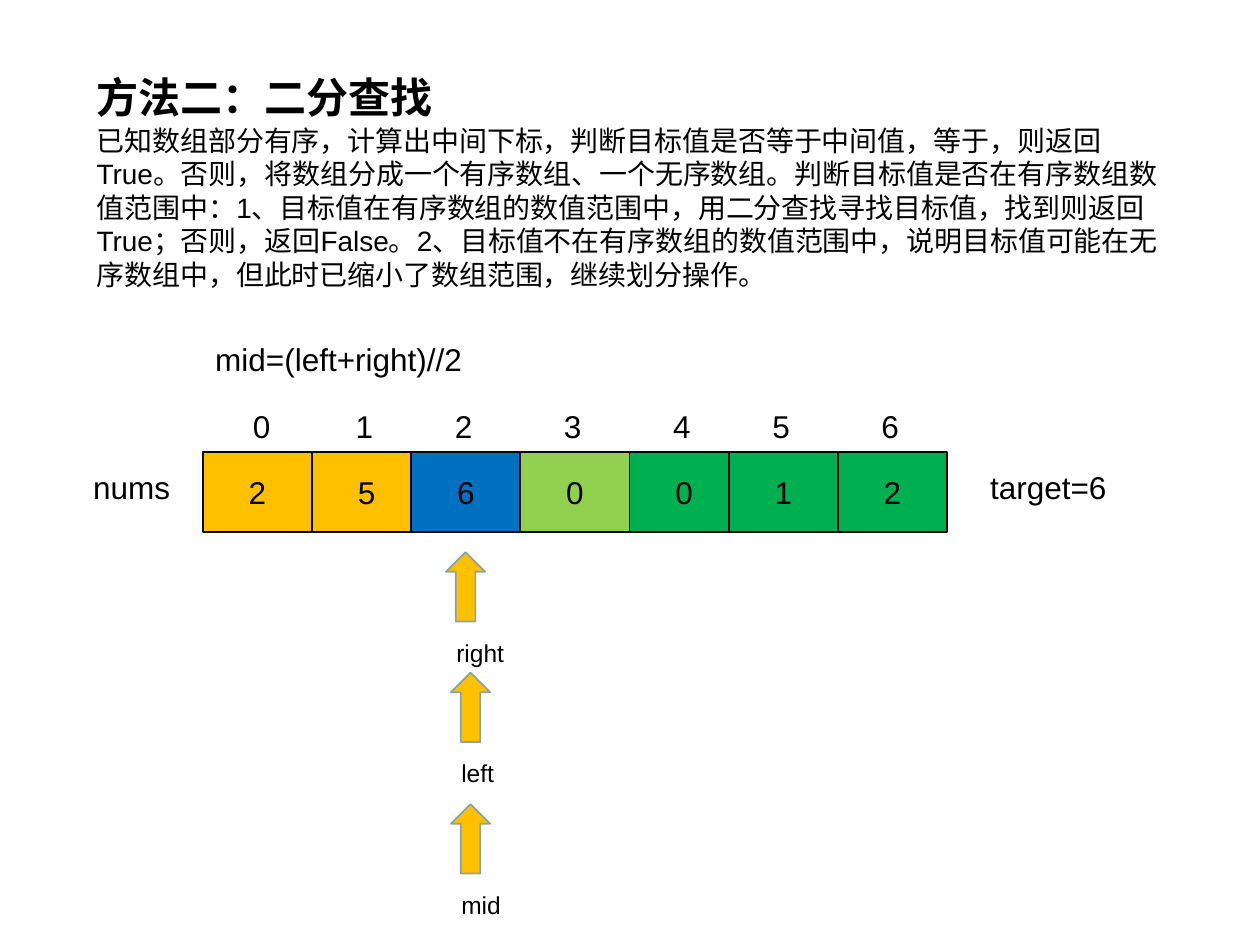
from lxml.etree import SubElement
from pptx import Presentation
from pptx.dml.color import RGBColor
from pptx.enum.shapes import MSO_SHAPE
from pptx.enum.text import MSO_ANCHOR, MSO_AUTO_SIZE, PP_ALIGN
from pptx.oxml.ns import qn
from pptx.util import Cm, Pt

COLORS = {
    "text": "000000",
    "edge": "060708",
    "arrow_edge": "89A4A7",
    "amber": "FFC000",
    "blue": "0070C0",
    "lime": "92D050",
    "green": "00B050",
}
HEADING = "方法二：二分查找"
BODY = (
    "已知数组部分有序，计算出中间下标，判断目标值是否等于中间值，等于，则返回True。"
    "否则，将数组分成一个有序数组、一个无序数组。判断目标值是否在有序数组数值范围中："
    "1、目标值在有序数组的数值范围中，用二分查找寻找目标值，找到则返回True；否则，返回False。"
    "2、目标值不在有序数组的数值范围中，说明目标值可能在无序数组中，"
    "但此时已缩小了数组范围，继续划分操作。"
)
CELLS = [
    ("2", "amber"),
    ("5", "amber"),
    ("6", "blue"),
    ("0", "lime"),
    ("0", "green"),
    ("1", "green"),
    ("2", "green"),
]
LABELS = [
    ("target=6", 19.71, 9.32, 3.12, 1.02),
    ("nums", 1.63, 9.32, 2.29, 1.02),
    ("mid=(left+right)//2", 4.09, 6.73, 8.46, 1.02),
]
POINTERS = [("right", 8.99, 11.13), ("left", 9.09, 13.56), ("mid", 9.09, 16.21)]


def rgb(name):
    return RGBColor.from_string(COLORS[name])


def write(sp, text, size, bold=False, align=PP_ALIGN.LEFT, anchor=MSO_ANCHOR.TOP):
    tf = sp.text_frame
    frame_format = {
        "word_wrap": True,
        "auto_size": MSO_AUTO_SIZE.NONE,
        "vertical_anchor": anchor,
    }
    for key, value in frame_format.items():
        setattr(tf, key, value)
    p = tf.paragraphs[0]
    p.alignment = align
    r = p.add_run()
    r.text = text
    for key, value in {"name": "Arial", "size": Pt(size), "bold": bold}.items():
        setattr(r.font, key, value)
    r.font.color.rgb = rgb("text")
    return p


def add_title(s, text, left, top, width, height):
    sp = s.shapes.title
    box = {"left": left, "top": top, "width": width, "height": height}
    for key, value in box.items():
        setattr(sp, key, Cm(value))
    write(sp, text, 24, bold=True)


def add_text(s, text, left, top, width, height, size=18):
    sp = s.shapes.add_textbox(Cm(left), Cm(top), Cm(width), Cm(height))
    return write(sp, text, size)


def add_filled(s, kind, left, top, width, height, fill, edge):
    sp = s.shapes.add_shape(kind, Cm(left), Cm(top), Cm(width), Cm(height))
    sp.shadow.inherit = False
    sp.fill.solid()
    sp.fill.fore_color.rgb = rgb(fill)
    sp.line.color.rgb = rgb(edge)
    sp.line.width = Pt(1)
    return sp


def cell_offset(i):
    return 2.2 * i - 0.2 * ((i + 1) // 3)


def add_array(s, left, top):
    for i, (value, fill) in enumerate(CELLS):
        sp = add_filled(s, MSO_SHAPE.RECTANGLE, left + cell_offset(i), top,
                        2.2, 1.6, fill, "edge")
        write(sp, value, 18, align=PP_ALIGN.CENTER, anchor=MSO_ANCHOR.MIDDLE)


def add_indices(s, left, top):
    count = len(CELLS)
    p = add_text(s, "\t".join(str(i) for i in range(count)), left, top, 14.22, 1.78)
    tabs = SubElement(p._p.get_or_add_pPr(), qn("a:tabLst"))
    for i in range(1, count):
        SubElement(tabs, qn("a:tab"), pos=str(Cm(cell_offset(i) - 0.13)), algn="l")


def add_pointer(s, name, left, top):
    sp = add_filled(s, MSO_SHAPE.DOWN_ARROW, left, top, 0.79, 1.4,
                    "amber", "arrow_edge")
    sp.rotation = 180
    add_text(s, name, left - 0.04, top + 1.6, 1.52, 0.86, size=14)


def main():
    prs = Presentation()
    prs.slide_width, prs.slide_height = Cm(25.4), Cm(19.05)
    s = prs.slides.add_slide(prs.slide_layouts[5])
    add_title(s, HEADING, 1.7, 1.32, 22.15, 1.2)
    add_text(s, BODY, 1.7, 2.36, 22.15, 4.14, size=16)
    add_array(s, 4.09, 9.12)
    add_indices(s, 4.85, 8.08)
    for label in LABELS:
        add_text(s, *label)
    for pointer in POINTERS:
        add_pointer(s, *pointer)
    prs.save("out.pptx")


if __name__ == "__main__":
    main()
